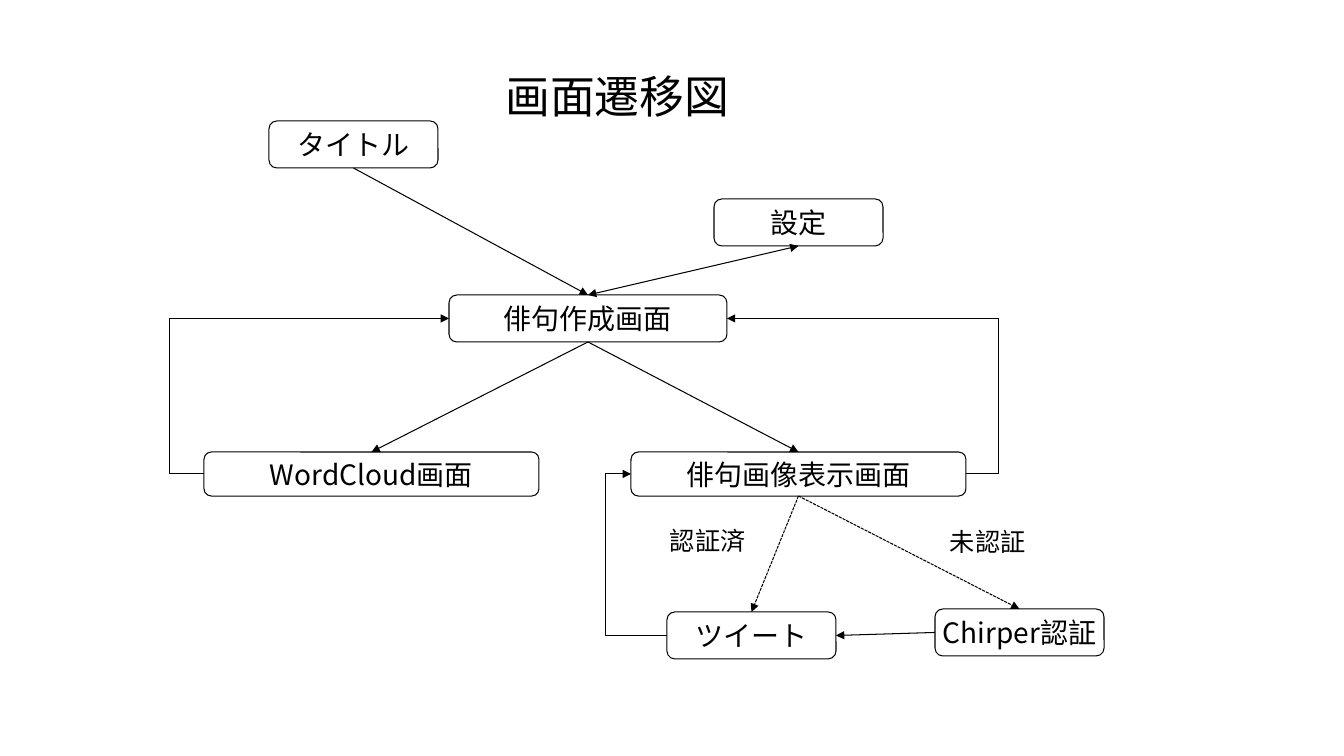
from lxml.etree import SubElement
from pptx import Presentation
from pptx.dml.color import RGBColor
from pptx.enum.dml import MSO_LINE
from pptx.enum.shapes import MSO_CONNECTOR, MSO_SHAPE
from pptx.enum.text import MSO_ANCHOR, MSO_AUTO_SIZE, PP_ALIGN
from pptx.oxml.ns import qn
from pptx.util import Emu, Pt

COLORS = {"ink": "000000", "paper": "FFFFFF"}
FONT = "Noto Sans CJK JP"
EMU_PER_PX = 914400 / 100.8
TOP, LEFT, BOTTOM, RIGHT = range(4)

SCREENS = {
    "title": ("タイトル", 99, 0, 169, 47),
    "settings": ("設定", 544, 78, 169, 47),
    "compose": ("俳句作成画面", 279, 174, 278, 47),
    "cloud": ("WordCloud画面", 34, 331, 335, 44),
    "display": ("俳句画像表示画面", 461, 331, 335, 44),
    "tweet": ("ツイート", 497, 491, 169, 47),
    "login": ("Chirper認証", 765, 488, 169, 47),
}
DIRECT_MOVES = [
    ("title", BOTTOM, "compose", TOP, {}),
    ("compose", TOP, "settings", BOTTOM, {"both_ways": True}),
    ("compose", BOTTOM, "cloud", TOP, {}),
    ("compose", BOTTOM, "display", TOP, {}),
    ("display", BOTTOM, "tweet", TOP, {"dashed": True}),
    ("display", BOTTOM, "login", TOP, {"dashed": True}),
    ("login", LEFT, "tweet", RIGHT, {}),
]
RETURN_MOVES = [
    ("cloud", LEFT, "compose", LEFT, 0),
    ("display", RIGHT, "compose", RIGHT, 829),
    ("tweet", LEFT, "display", LEFT, 436),
]
CONDITIONS = [("認証済", 490, 399), ("未認証", 770, 400)]


def px(length):
    return Emu(round(length * EMU_PER_PX))


def color(name):
    return RGBColor.from_string(COLORS[name])


def write(frame, text, size, align):
    paragraph = frame.paragraphs[0]
    paragraph.alignment = align
    run = paragraph.add_run()
    run.text = text
    run.font.size = Pt(size)
    run.font.color.rgb = color("ink")
    run.font.name = FONT
    SubElement(run.font._element, qn("a:ea"), typeface=FONT)
    return paragraph


def draw_heading(slide, left, top, width, height):
    heading = slide.shapes.title
    heading.left, heading.top = px(left), px(top)
    heading.width, heading.height = px(width), px(height)
    frame = heading.text_frame
    frame.auto_size = MSO_AUTO_SIZE.NONE
    frame.word_wrap = True
    frame.vertical_anchor = MSO_ANCHOR.BOTTOM
    write(frame, "画面遷移図", 32, PP_ALIGN.CENTER).line_spacing = 0.9


def draw_screen(slide, text, left, top, width, height):
    screen = slide.shapes.add_shape(
        MSO_SHAPE.ROUNDED_RECTANGLE, px(left), px(top), px(width), px(height))
    screen.shadow.inherit = False
    screen.fill.background()
    screen.line.color.rgb = color("ink")
    screen.line.width = Pt(0.75)
    screen.text_frame.word_wrap = False
    screen.text_frame.vertical_anchor = MSO_ANCHOR.MIDDLE
    write(screen.text_frame, text, 20, PP_ALIGN.CENTER)
    return screen


def draw_move(slide, source, exit_side, target, entry_side,
              rail=None, dashed=False, both_ways=False):
    kind = MSO_CONNECTOR.STRAIGHT if rail is None else MSO_CONNECTOR.ELBOW
    move = slide.shapes.add_connector(kind, 0, 0, 0, 0)
    move.begin_connect(source, exit_side)
    move.end_connect(target, entry_side)
    move.line.color.rgb = color("ink")
    move.line.width = Pt(0.75)
    if dashed:
        move.line.dash_style = MSO_LINE.SQUARE_DOT
    properties = move._element.spPr
    stroke = properties.find(qn("a:ln"))
    if both_ways:
        SubElement(stroke, qn("a:headEnd"), type="triangle")
    SubElement(stroke, qn("a:tailEnd"), type="triangle")
    SubElement(properties, qn("a:effectLst"))
    if rail is not None:
        bend = (px(rail) - move.begin_x) / (move.end_x - move.begin_x)
        guides = properties.find(qn("a:prstGeom")).get_or_add_avLst()
        SubElement(guides, qn("a:gd"), name="adj1",
                   fmla=f"val {round(bend * 100000)}")


def draw_condition(slide, text, left, top):
    condition = slide.shapes.add_textbox(px(left), px(top), px(174), px(40))
    condition.text_frame.word_wrap = True
    condition.text_frame.auto_size = MSO_AUTO_SIZE.SHAPE_TO_FIT_TEXT
    write(condition.text_frame, text, 18, PP_ALIGN.LEFT)


def draw_screen_flow(slide, left, top):
    screens = {
        key: draw_screen(slide, text, left + x, top + y, width, height)
        for key, (text, x, y, width, height) in SCREENS.items()
    }
    for source, exit_side, target, entry_side, style in DIRECT_MOVES:
        draw_move(slide, screens[source], exit_side,
                  screens[target], entry_side, **style)
    for source, exit_side, target, entry_side, rail in RETURN_MOVES:
        draw_move(slide, screens[source], exit_side,
                  screens[target], entry_side, rail=left + rail)
    for text, x, y in CONDITIONS:
        draw_condition(slide, text, left + x, top + y)


def main():
    deck = Presentation()
    deck.slide_width, deck.slide_height = px(1344), px(756)
    slide = deck.slides.add_slide(deck.slide_layouts.get_by_name("Title Only"))
    slide.background.fill.solid()
    slide.background.fill.fore_color.rgb = color("paper")
    draw_heading(slide, 391, -18, 453, 146)
    draw_screen_flow(slide, 170, 121)
    deck.save("out.pptx")


if __name__ == "__main__":
    main()
